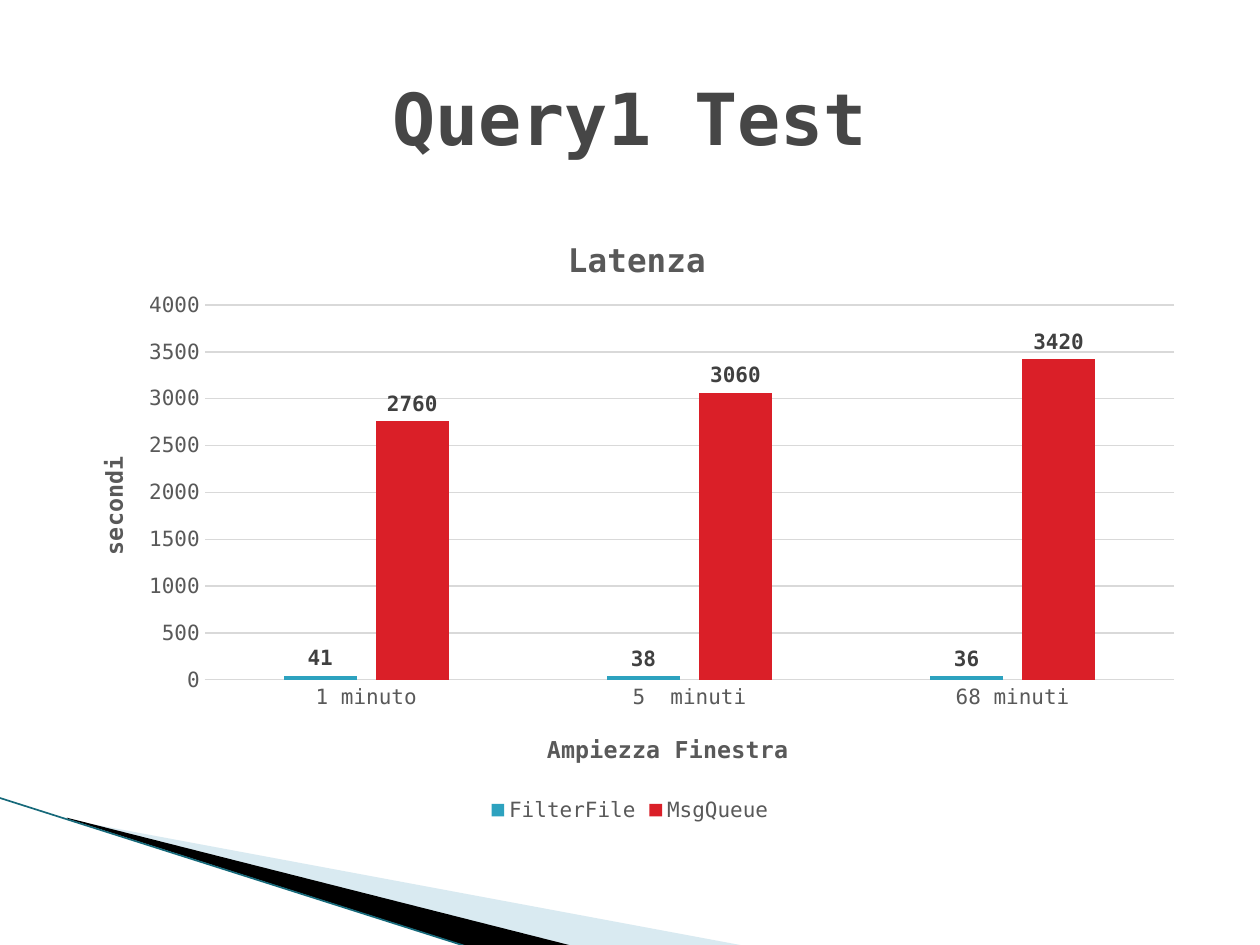
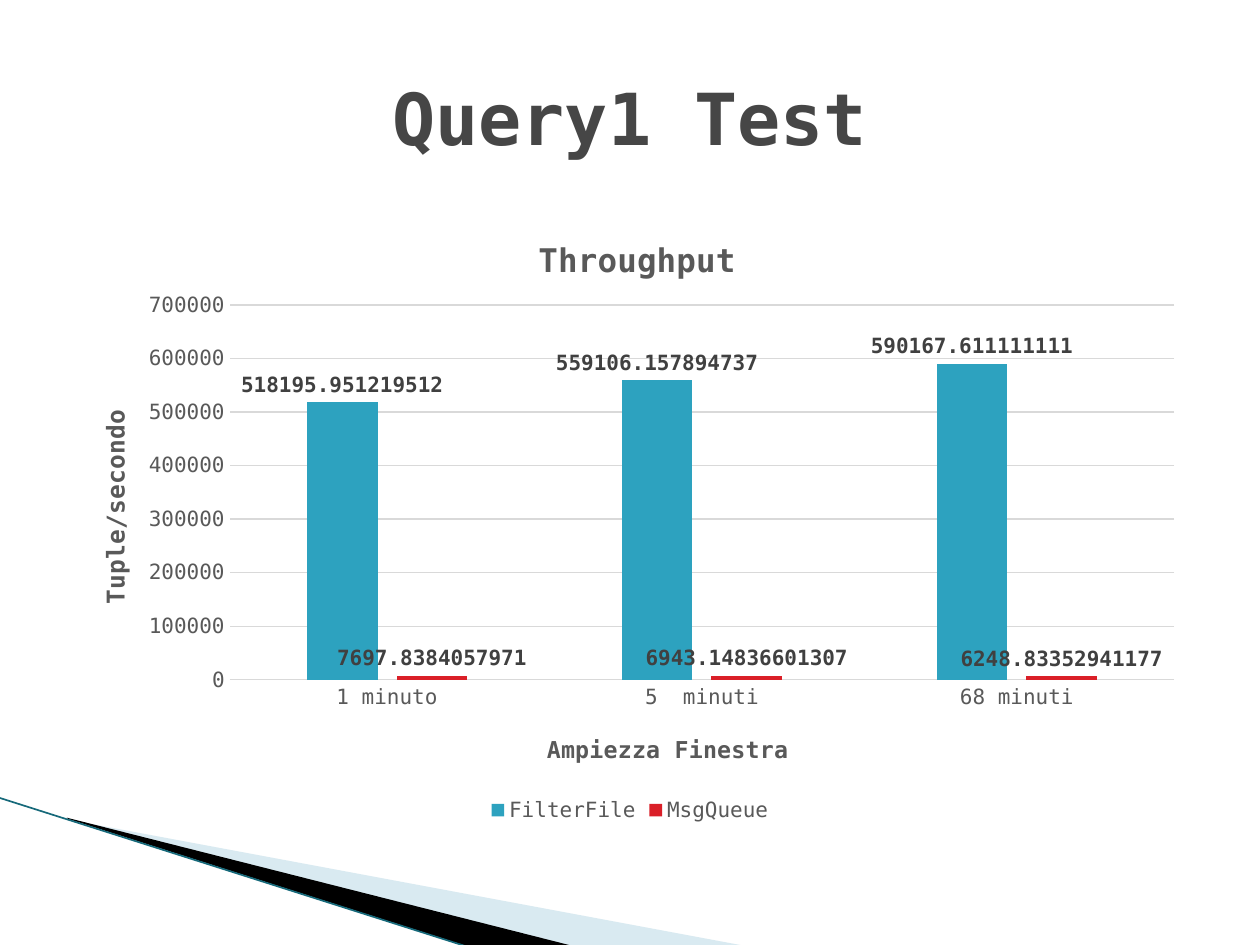
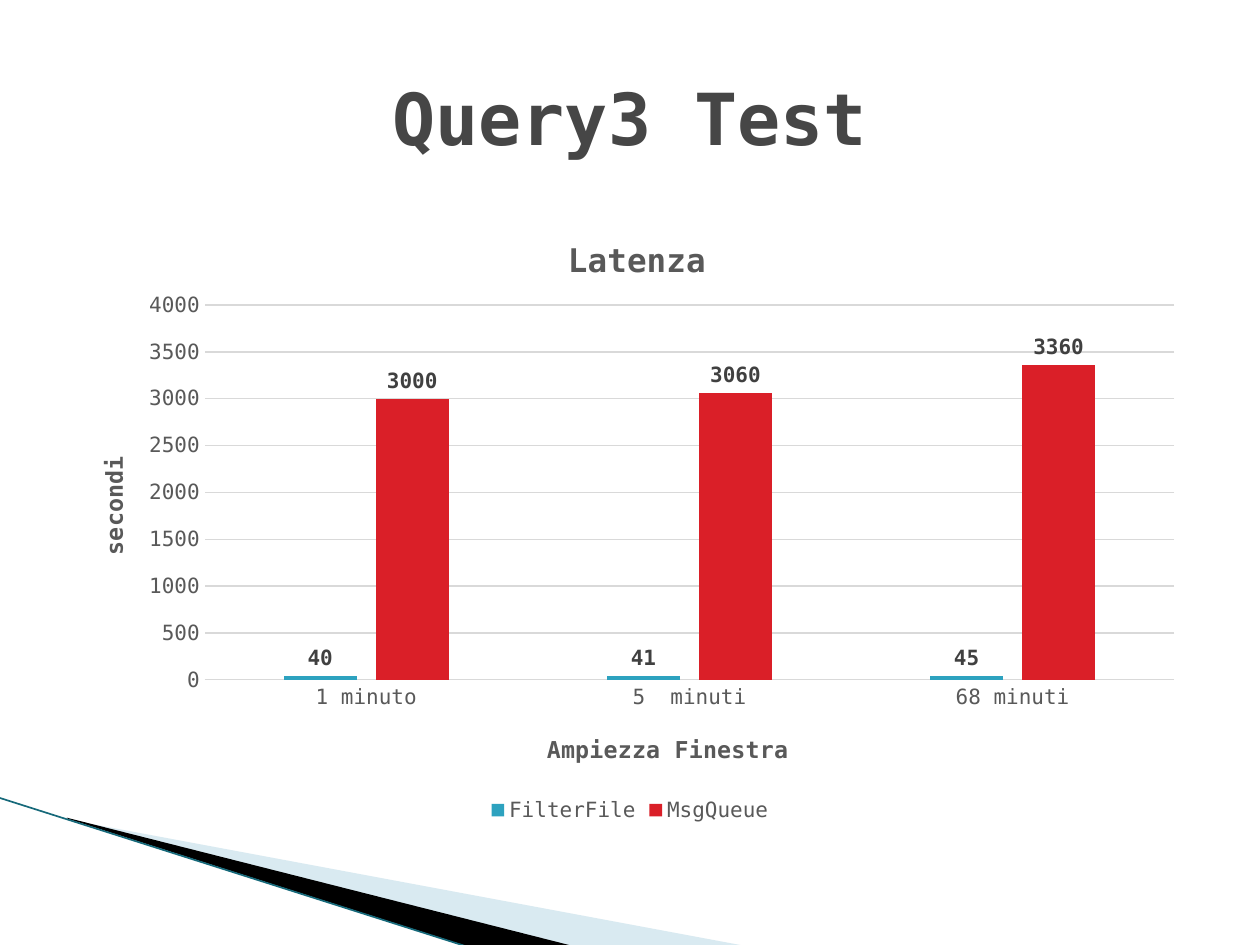
from lxml import etree
from pptx import Presentation
from pptx.chart.data import CategoryChartData
from pptx.dml.color import RGBColor
from pptx.enum.chart import (XL_CHART_TYPE, XL_LABEL_POSITION,
                             XL_LEGEND_POSITION, XL_TICK_MARK)
from pptx.enum.shapes import MSO_CONNECTOR
from pptx.enum.text import MSO_ANCHOR, PP_ALIGN
from pptx.oxml import parse_xml
from pptx.oxml.ns import nsdecls, qn
from pptx.util import Pt

COLUMNS = XL_CHART_TYPE.COLUMN_CLUSTERED
OUTSIDE = XL_LABEL_POSITION.OUTSIDE_END
BOTTOM = XL_LEGEND_POSITION.BOTTOM
NO_TICK = XL_TICK_MARK.NONE
STRAIGHT = MSO_CONNECTOR.STRAIGHT
MIDDLE = MSO_ANCHOR.MIDDLE
CENTER = PP_ALIGN.CENTER

FONT = "DejaVu Sans Mono"
CHAR_WIDTH = 0.602  # advance of a monospaced character, in ems
COLORS = {
    "title": "464646", "chart_text": "595959", "label": "404040",
    "grid": "D9D9D9", "file": "2DA2BF", "queue": "DA1F28",
    "pale_band": "A0CBDC", "dark_band": "000000", "edge": "16697A",
}
TITLE_BOX = (36, 21.6, 648, 90)
CHART_BOX = (36, 116.6, 648, 356.4)
BAND_BOX = (0, 456, 428.4, 85)

CATEGORIES = ["1 minuto", "5  minuti", "68 minuti"]
SERIES = [("FilterFile", "file"), ("MsgQueue", "queue")]
LATENCY = {"title": "Latenza", "unit": "secondi", "unit_size": 13.3,
           "plot_left": 0.125}
THROUGHPUT = {"title": "Throughput", "unit": "Tuple/secondo", "unit_size": 14,
              "plot_left": 0.147}
SLIDES = [
    ("Query1 Test", LATENCY, [(41, 38, 36), (2760, 3060, 3420)]),
    ("Query1 Test", THROUGHPUT, [
        (518195.951219512, 559106.157894737, 590167.611111111),
        (7697.8384057971, 6943.14836601307, 6248.83352941177)]),
    ("Query3 Test", LATENCY, [(40, 41, 45), (3000, 3060, 3360)]),
]


def rgb(name):
    return RGBColor.from_string(COLORS[name])


def set_font(font, size, color, bold=False):
    for key, value in {"name": FONT, "size": Pt(size), "bold": bold}.items():
        setattr(font, key, value)
    font.color.rgb = rgb(color)


def set_layout(element, index, inner=False, **place):
    """Fix the place of a chart part, in fractions of the chart."""
    for old in element.findall(qn("c:layout")):
        element.remove(old)
    layout = parse_xml(f"<c:layout {nsdecls('c')}><c:manualLayout/></c:layout>")
    parts = {"layoutTarget": "inner"} if inner else {}
    parts.update({"xMode": "edge", "yMode": "edge"}, **place)
    for tag, value in parts.items():
        etree.SubElement(layout[0], qn("c:" + tag)).set("val", str(value))
    element.insert(index, layout)


def set_chart_title(title, text, size, x, y):
    p = title.text_frame.paragraphs[0]
    r = p.add_run()
    r.text = text
    set_font(r.font, size, "chart_text", True)
    set_layout(title._element, 1, x=round(x, 3), y=round(y, 3))


def add_band(s, box):
    """Corner wedges with a thin edge line."""
    x, y, w, h = box
    wedges = [
        ("pale_band", 40, [(39.6, 12.5), (w, h), (328.3, h), (39.6, 12)]),
        ("dark_band", 100, [(38.2, 11.3), (329, h), (267.8, h), (38.9, 12)]),
    ]
    for color, alpha, points in wedges:
        points = [(Pt(x + px), Pt(y + py)) for px, py in points]
        builder = s.shapes.build_freeform(*points[0], scale=1.0)
        builder.add_line_segments(points[1:], close=True)
        sp = builder.convert_to_shape()
        sp.shadow.inherit = False
        sp.fill.solid()
        sp.fill.fore_color.rgb = rgb(color)
        sp.line.fill.background()
        if alpha < 100:
            fill = sp._element.spPr.find(qn("a:solidFill"))
            etree.SubElement(fill[0], qn("a:alpha")).set("val", str(alpha * 1000))

    edge = s.shapes.add_connector(STRAIGHT, Pt(x - 0.7), Pt(y - 0.2),
                                  Pt(x + 267.1), Pt(y + h))
    edge.line.color.rgb = rgb("edge")
    edge.line.width = Pt(0.95)
    etree.SubElement(edge._element.spPr, qn("a:effectLst"))


def add_title(s, box, text):
    tf = s.shapes.add_textbox(*map(Pt, box)).text_frame
    tf.word_wrap = True
    tf.vertical_anchor = MIDDLE
    p = tf.paragraphs[0]
    p.alignment = CENTER
    r = p.add_run()
    r.text = text
    set_font(r.font, 41, "title", True)


def add_column_chart(s, box, style, values):
    data = CategoryChartData()
    data.categories = CATEGORIES
    for (name, _), row in zip(SERIES, values):
        data.add_series(name, row)
    chart = s.shapes.add_chart(COLUMNS, *map(Pt, box), data).chart
    set_font(chart.font, 12, "chart_text")
    no_fill = parse_xml(f"<c:spPr {nsdecls('c', 'a')}><a:noFill/>"
                        "<a:ln><a:noFill/></a:ln></c:spPr>")
    chart._chartSpace.find(qn("c:chart")).addnext(no_fill)

    # Columns and their labels
    plot = chart.plots[0]
    for key, value in {"gap_width": 219, "overlap": -27,
                       "vary_by_categories": False}.items():
        setattr(plot, key, value)
    for series, (_, color) in zip(plot.series, SERIES):
        series.format.fill.solid()
        series.format.fill.fore_color.rgb = rgb(color)
        labels = series.data_labels
        labels.show_value = True
        labels.position = OUTSIDE
        set_font(labels.font, 12, "label", True)

    # Axes, grid and legend
    cat, val = chart.category_axis, chart.value_axis
    for axis in (cat, val):
        axis.major_tick_mark = axis.minor_tick_mark = NO_TICK
        set_font(axis.tick_labels.font, 12, "chart_text")
    for line in (cat.format.line, val.major_gridlines.format.line):
        line.color.rgb = rgb("grid")
        line.width = Pt(0.75)
    val.format.line.fill.background()
    chart.has_legend = True
    chart.legend.position = BOTTOM
    chart.legend.include_in_layout = False
    set_font(chart.legend.font, 12, "chart_text")

    # Titles, each centred by the width of its text
    w, h = box[2:]

    def half(text, size, extent):
        return len(text) * size * CHAR_WIDTH / 2 / extent

    title, unit, size = style["title"], style["unit"], style["unit_size"]
    cat_title = "Ampiezza Finestra"
    chart.has_title = True
    set_chart_title(chart.chart_title, title, 18.6,
                    0.5 - half(title, 18.6, w), 0.046)
    set_chart_title(cat.axis_title, cat_title, 13.3,
                    0.528 - half(cat_title, 13.3, w), 0.842)
    set_chart_title(val.axis_title, unit, size,
                    0.027, 0.476 - half(unit, size, h))
    body = next(val.axis_title._element.iter(qn("a:bodyPr")))
    body.set("rot", "-5400000")
    body.set("vert", "horz")

    left = style["plot_left"]
    set_layout(chart._chartSpace.find(qn("c:chart")).find(qn("c:plotArea")), 0,
               inner=True, x=left, y=0.162, w=round(0.98 - left, 3), h=0.601)


prs = Presentation()
prs.slide_width, prs.slide_height = Pt(720), Pt(540)
for heading, style, values in SLIDES:
    s = prs.slides.add_slide(prs.slide_layouts[6])
    add_band(s, BAND_BOX)
    add_column_chart(s, CHART_BOX, style, values)
    add_title(s, TITLE_BOX, heading)
prs.save("out.pptx")
